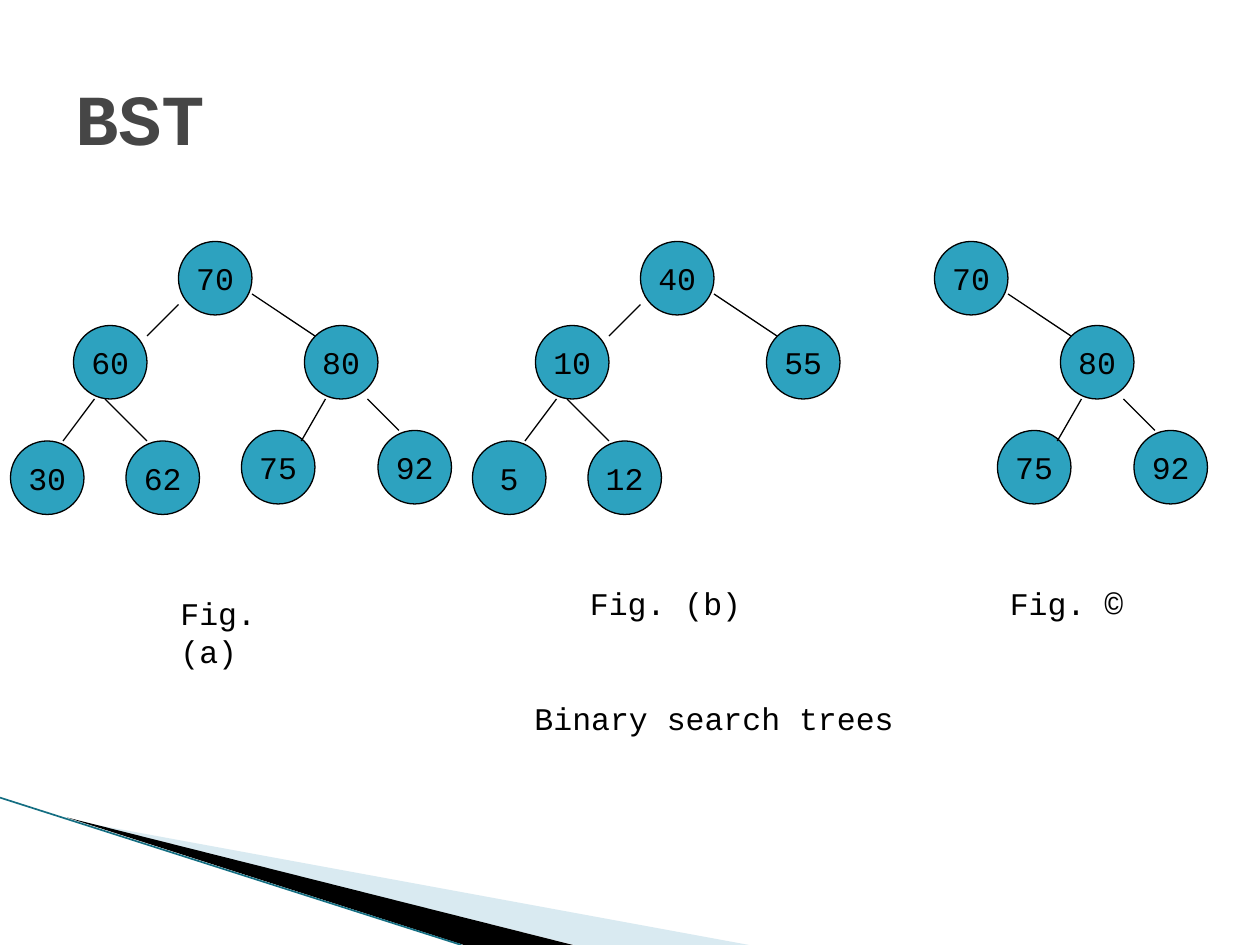
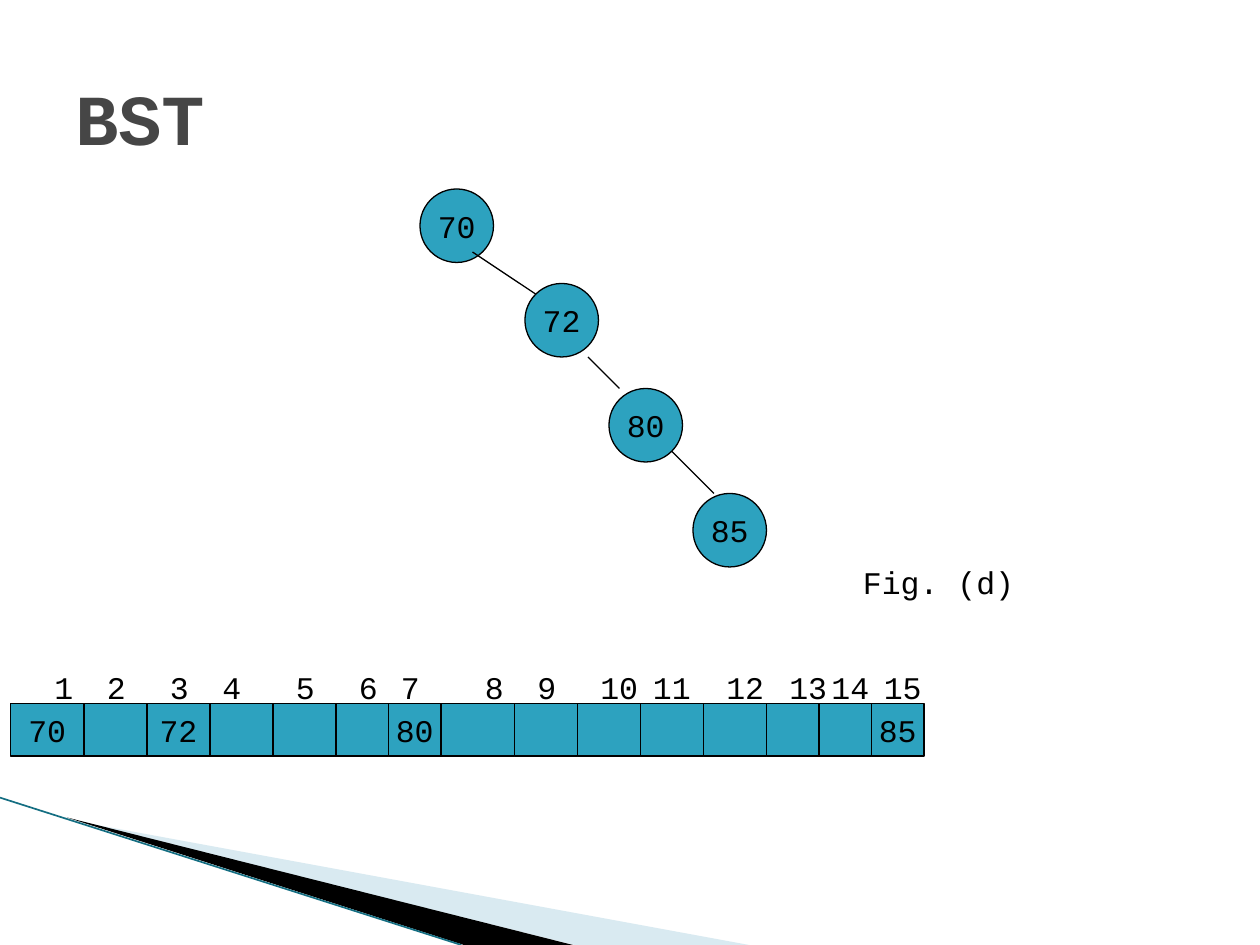
from itertools import accumulate, cycle

from lxml.etree import SubElement
from pptx import Presentation
from pptx.dml.color import RGBColor
from pptx.enum.shapes import MSO_CONNECTOR, MSO_SHAPE
from pptx.enum.text import MSO_ANCHOR, PP_ALIGN
from pptx.oxml.ns import qn
from pptx.util import Cm, Pt

# Shared style
FONT = "Courier New"
BLACK = RGBColor(0x00, 0x00, 0x00)
GREY = RGBColor(0x46, 0x46, 0x46)
TEAL = RGBColor(0x2D, 0xA2, 0xBF)
DEEP = RGBColor(0x14, 0x6E, 0x82)
PALE = RGBColor(0xA0, 0xCB, 0xDC)

# Full tree on the grid: slot -> node corner, edge from parent (start, end)
SLOTS = {
    "root": ((17, 23), None),
    "left": ((7, 31), ((17, 29), (14, 32))),
    "right": ((29, 31), ((24, 28), (30, 32))),
    "left left": ((1, 42), ((9, 38), (6, 42))),
    "left right": ((12, 42), ((10, 38), (14, 42))),
    "right left": ((23, 41), ((31, 38), (28.7, 42))),
    "right right": ((36, 41), ((35, 38), (38, 41))),
}

# Each tree: shift to the right, values by slot
TREES = [
    (0, {"root": 70, "left": 60, "right": 80, "left left": 30,
         "left right": 62, "right left": 75, "right right": 92}),
    (44, {"root": 40, "left": 10, "right": 55, "left left": 5,
          "left right": 12}),
    (72, {"root": 70, "right": 80, "right left": 75, "right right": 92}),
]

# Chain of right children and its array form
CHAIN = [(70, 40, 18), (72, 50, 27), (80, 58, 37), (85, 66, 47)]
LINKS = [((45, 24), (51, 28)), ((56, 34), (59, 37)), ((64, 43), (68, 47))]
ARRAY = {1: 70, 3: 72, 7: 80, 15: 85}
WIDTHS = [7, 6, 6, 6, 6, 5, 5] * 2 + [5]
SHIFTS = [3, 1, 1, 0, 1, 1, 0]


def grid(count):
    """Length of a number of grid steps, twelve to the inch."""
    return Cm(count * 2.54 / 12)


def style(par, size=18, color=BLACK, bold=False):
    par.font.name = FONT
    par.font.size = Pt(size)
    par.font.bold = bold
    par.font.color.rgb = color


def label(slide, text, left, top, width, align=PP_ALIGN.LEFT):
    box = slide.shapes.add_textbox(grid(left), grid(top), grid(width), grid(4.8))
    box.text_frame.word_wrap = True
    par = box.text_frame.paragraphs[0]
    par.text = text
    par.alignment = align
    style(par)


def block(slide, kind, text, left, top, width, height):
    shape = slide.shapes.add_shape(
        kind, grid(left), grid(top), grid(width), grid(height))
    shape.shadow.inherit = False
    shape.fill.solid()
    shape.fill.fore_color.rgb = TEAL
    shape.line.color.rgb = BLACK
    shape.line.width = Pt(0.75)
    frame = shape.text_frame
    frame.word_wrap = False
    frame.vertical_anchor = MSO_ANCHOR.MIDDLE
    par = frame.paragraphs[0]
    par.text = str(text)
    par.alignment = PP_ALIGN.CENTER
    style(par)


def node(slide, value, left, top):
    block(slide, MSO_SHAPE.OVAL, value, left, top, 7, 7)


def line(slide, ends, color, width):
    link = slide.shapes.add_connector(MSO_CONNECTOR.STRAIGHT, *ends)
    link.line.color.rgb = color
    link.line.width = Pt(width)
    SubElement(link._element.spPr, qn("a:effectLst"))


def edge(slide, start, end):
    line(slide, [grid(step) for step in (*start, *end)], BLACK, 0.75)


def wedge(slide, points, color, alpha=100):
    first, *rest = [(Cm(x), Cm(y)) for x, y in points]
    form = slide.shapes.build_freeform(*first)
    form.add_line_segments(rest, close=True)
    shape = form.convert_to_shape()
    shape.shadow.inherit = False
    shape.line.fill.background()
    shape.fill.solid()
    shape.fill.fore_color.rgb = color
    if alpha < 100:
        tone = shape._element.spPr.find(".//" + qn("a:srgbClr"))
        SubElement(tone, qn("a:alpha"), val=str(alpha * 1000))


def page(deck, title):
    """Blank slide with the corner wedges and a title."""
    slide = deck.slides.add_slide(deck.slide_layouts[6])
    wedge(slide, [(1.4, 16.53), (15.1, 19.05), (11.58, 19.05)], PALE, 40)
    wedge(slide, [(1.35, 16.48), (11.55, 19.05), (9.35, 19.05)], BLACK)
    line(slide, [Cm(0), Cm(16.08), Cm(9.3), Cm(19.05)], DEEP, 0.95)
    box = slide.shapes.add_textbox(Cm(1.27), Cm(0.76), Cm(22.86), Cm(3.18))
    box.text_frame.word_wrap = True
    box.text_frame.vertical_anchor = MSO_ANCHOR.MIDDLE
    par = box.text_frame.paragraphs[0]
    par.text = title
    style(par, 41, GREY, True)
    return slide


def tree(slide, shift, values):
    for slot, value in values.items():
        (left, top), _ = SLOTS[slot]
        node(slide, value, left + shift, top)
    for slot in values:
        _, ends = SLOTS[slot]
        if ends:
            edge(slide, *[(x + shift, y) for x, y in ends])


def array(slide):
    lefts = list(accumulate(WIDTHS[:-1], initial=1))
    for index, (left, width) in enumerate(zip(lefts, WIDTHS), 1):
        block(slide, MSO_SHAPE.RECTANGLE, ARRAY.get(index, ""),
              left, 67, width, 5)
    last = len(lefts)
    for index, (left, shift) in enumerate(zip(lefts, cycle(SHIFTS)), 1):
        label(slide, str(index), left + (shift if index < last else 0), 63, 7)


def main():
    deck = Presentation()
    deck.slide_width, deck.slide_height = Cm(25.4), Cm(19.05)

    # Three search trees
    slide = page(deck, "BST")
    for shift, values in TREES:
        tree(slide, shift, values)
    label(slide, "Fig.(a)", 16, 56, 14)
    label(slide, "Fig. (b)", 55, 55, 18)
    label(slide, "Fig. ©", 95, 55, 18)
    label(slide, "Binary search trees", 28, 66, 80, PP_ALIGN.CENTER)

    # Skewed tree and its array
    slide = page(deck, "BST")
    for value, left, top in CHAIN:
        node(slide, value, left, top)
    for start, end in LINKS:
        edge(slide, start, end)
    array(slide)
    label(slide, "Fig. (d)", 81, 53, 28)

    deck.save("out.pptx")


if __name__ == "__main__":
    main()
